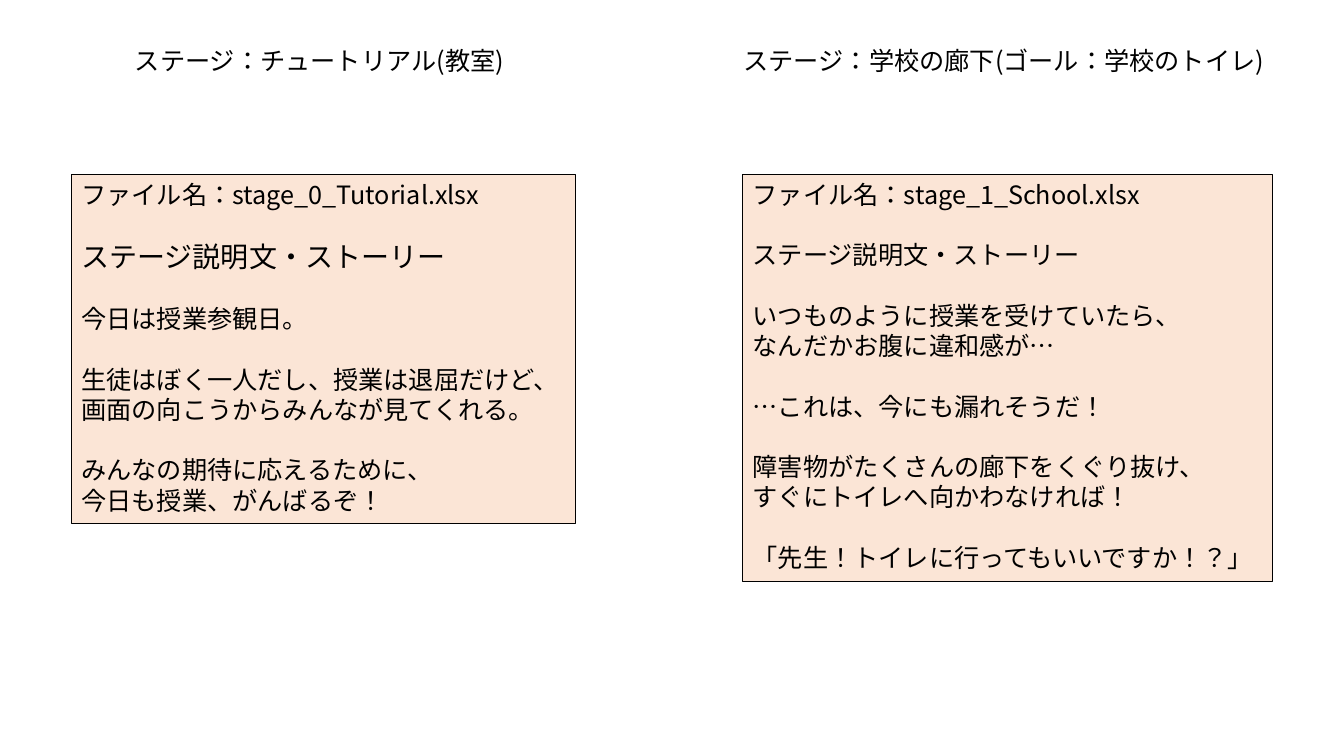
from dataclasses import dataclass

from lxml import etree
from pptx import Presentation
from pptx import util as u
from pptx.dml.color import RGBColor
from pptx.enum import lang, shapes, text
from pptx.oxml import ns


@dataclass(frozen=True)
class Theme:
    font: str = "Noto Sans CJK JP"
    ink: RGBColor = RGBColor(0x00, 0x00, 0x00)
    panel: RGBColor = RGBColor(0xFB, 0xE5, 0xD6)
    body_size: float = 18
    large_size: float = 20
    block_gap: float = 21.6
    border: float = 0.75


@dataclass(frozen=True)
class Area:
    """Left, top, width and height in centimetres."""
    left: float
    top: float
    width: float
    height: float

    def lengths(self) -> tuple[u.Cm, ...]:
        return tuple(u.Cm(n) for n in (self.left, self.top, self.width, self.height))


@dataclass(frozen=True)
class Stage:
    heading: str
    heading_area: Area
    story_area: Area
    subtitle_size: float
    file_name: str
    story: tuple[tuple[str, ...], ...]


THEME = Theme()
SUBTITLE = "ステージ説明文・ストーリー"

STAGES = (
    Stage(
        "ステージ：チュートリアル(教室)",
        Area(3.15, 1.02, 9.98, 1.02), Area(1.8, 4.39, 12.7, 8.81),
        THEME.large_size, "stage_0_Tutorial.xlsx",
        (
            ("今日は授業参観日。",),
            ("生徒はぼく一人だし、授業は退屈だけど、", "画面の向こうからみんなが見てくれる。"),
            ("みんなの期待に応えるために、", "今日も授業、がんばるぞ！"),
        ),
    ),
    Stage(
        "ステージ：学校の廊下(ゴール：学校のトイレ)",
        Area(18.49, 1.02, 13.84, 1.02), Area(18.72, 4.39, 13.34, 10.26),
        THEME.body_size, "stage_1_School.xlsx",
        (
            ("いつものように授業を受けていたら、", "なんだかお腹に違和感が…"),
            ("…これは、今にも漏れそうだ！",),
            ("障害物がたくさんの廊下をくぐり抜け、", "すぐにトイレへ向かわなければ！"),
            ("「先生！トイレに行ってもいいですか！？」",),
        ),
    ),
)


def format_paragraph(para, size: float, gap: float = 0) -> None:
    para.alignment = text.PP_ALIGN.LEFT
    para.space_before = u.Pt(gap)
    for span in para.runs:
        span.font.size = u.Pt(size)
        span.font.name = THEME.font
        span.font.color.rgb = THEME.ink
        span.font.language_id = lang.MSO_LANGUAGE_ID.JAPANESE
        # East Asian glyphs take their own typeface entry
        latin = span.font._element.find(ns.qn("a:latin"))
        east_asian = etree.Element(ns.qn("a:ea"), typeface=THEME.font)
        latin.addnext(east_asian)


def add_heading(page, stage: Stage) -> None:
    box = page.shapes.add_textbox(*stage.heading_area.lengths())
    box.text_frame.word_wrap = True
    box.text_frame.text = stage.heading
    format_paragraph(box.text_frame.paragraphs[0], THEME.body_size)


def add_story(page, stage: Stage) -> None:
    box = page.shapes.add_shape(
        shapes.MSO_SHAPE.RECTANGLE, *stage.story_area.lengths())
    box.shadow.inherit = False
    box.fill.solid()
    box.fill.fore_color.rgb = THEME.panel
    box.line.color.rgb = THEME.ink
    box.line.width = u.Pt(THEME.border)

    frame = box.text_frame
    frame.word_wrap = True
    frame.vertical_anchor = text.MSO_ANCHOR.TOP
    frame.text = f"ファイル名：{stage.file_name}"
    format_paragraph(frame.paragraphs[0], THEME.body_size)

    # Each block starts after a gap of one line
    for block in ((SUBTITLE,), *stage.story):
        for index, line in enumerate(block):
            para = frame.add_paragraph()
            para.text = line
            size = stage.subtitle_size if line == SUBTITLE else THEME.body_size
            format_paragraph(para, size, 0 if index else THEME.block_gap)


def main() -> None:
    deck = Presentation()
    deck.slide_width, deck.slide_height = u.Cm(33.87), u.Cm(19.05)
    # Two equal headings and no slide title: blank layout
    page = deck.slides.add_slide(deck.slide_layouts[6])
    for stage in STAGES:
        add_heading(page, stage)
        add_story(page, stage)
    deck.save("out.pptx")


if __name__ == "__main__":
    main()
